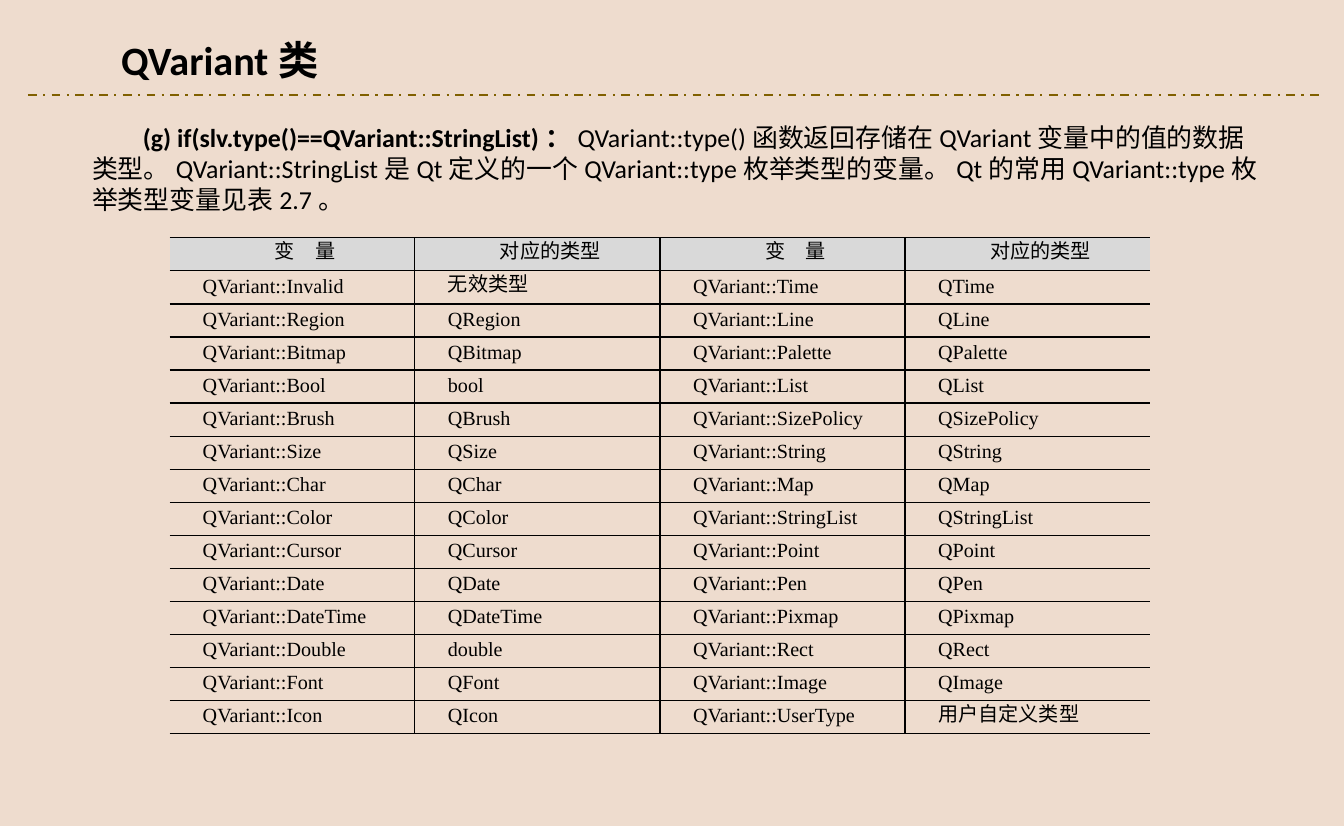
"""Build the QVariant slide: title, explanation and table of type variables."""
from pptx import Presentation
from pptx.dml.color import RGBColor as Rgb
from pptx.enum.dml import MSO_LINE as Dash
from pptx.enum.shapes import MSO_CONNECTOR as Link
from pptx.enum.text import MSO_ANCHOR as Anchor, MSO_AUTO_SIZE as Auto, PP_ALIGN as Align
from pptx.oxml import parse_xml
from pptx.oxml.ns import nsdecls
from pptx.util import Cm, Inches, Pt

TITLE = "QVariant类"
LEAD = "(g) if(slv.type()==QVariant::StringList)："
REST = (
    "QVariant::type()函数返回存储在QVariant变量中的值的数据类型。"
    "QVariant::StringList是Qt定义的一个QVariant::type枚举类型的变量。"
    "Qt的常用QVariant::type枚举类型变量见表2.7。"
)
HEAD = ["变　量", "对应的类型"] * 2
PAIRS = [
    ("Invalid", "无效类型", "Time", "QTime"),
    ("Region", "QRegion", "Line", "QLine"),
    ("Bitmap", "QBitmap", "Palette", "QPalette"),
    ("Bool", "bool", "List", "QList"),
    ("Brush", "QBrush", "SizePolicy", "QSizePolicy"),
    ("Size", "QSize", "String", "QString"),
    ("Char", "QChar", "Map", "QMap"),
    ("Color", "QColor", "StringList", "QStringList"),
    ("Cursor", "QCursor", "Point", "QPoint"),
    ("Date", "QDate", "Pen", "QPen"),
    ("DateTime", "QDateTime", "Pixmap", "QPixmap"),
    ("Double", "double", "Rect", "QRect"),
    ("Font", "QFont", "Image", "QImage"),
    ("Icon", "QIcon", "UserType", "用户自定义类型"),
]
COLORS = {"page": "EEDCCE", "rule": "806000", "ink": "000000", "head": "D9D9D9"}
EDGES = [0, 1, 1.5, 1, 0]
COL, ROW = 2.37, 0.32

SIZE = {"slide_width": Cm(33), "slide_height": Cm(20.29)}
FRAME = {"word_wrap": True, "auto_size": Auto.SHAPE_TO_FIT_TEXT,
         "vertical_anchor": Anchor.TOP}
TABLE = {"first_row": False, "horz_banding": False}
CELL = {"margin_left": Inches(0.07), "margin_right": Inches(0.07),
        "margin_top": 0, "margin_bottom": 0, "vertical_anchor": Anchor.MIDDLE}


def apply(item, values):
    for name, value in values.items():
        setattr(item, name, value)


def color(name):
    return Rgb.from_string(COLORS[name])


def write(para, text, face, size, bold=False):
    run = para.add_run()
    run.text = text
    apply(run.font, {"name": face, "size": Pt(size), "bold": bold})
    run.font.color.rgb = color("ink")


def place(shape, left, top, width, height):
    apply(shape, {"left": Inches(left), "top": Inches(top),
                  "width": Inches(width), "height": Inches(height)})
    apply(shape.text_frame, FRAME)
    para = shape.text_frame.paragraphs[0]
    apply(para, {"alignment": Align.LEFT, "space_before": Pt(0)})
    return para


def indent(para, size):
    props = para._p.get_or_add_pPr()
    props.set("marL", "0")
    props.set("indent", str(Inches(size)))
    return props


def border(cell, side, width):
    paint = f'<a:solidFill><a:srgbClr val="{COLORS["ink"]}"/></a:solidFill>'
    cell._tc.get_or_add_tcPr().append(parse_xml(
        f'<a:ln{side} {nsdecls("a")} w="{Pt(width)}">'
        f'{paint if width else "<a:noFill/>"}</a:ln{side}>'))


def fill_cell(cell, text, col, head):
    apply(cell, CELL)
    for side, width in zip("LRTB", (EDGES[col], EDGES[col + 1], 1, 1)):
        border(cell, side, width)
    if head:
        cell.fill.solid()
        cell.fill.fore_color.rgb = color("head")
    else:
        cell.fill.background()
    para = cell.text_frame.paragraphs[0]
    indent(para, 0.25)
    apply(para, {"alignment": Align.CENTER if head else Align.JUSTIFY,
                 "line_spacing": Pt(14)})
    write(para, text, "Arial" if head else "Times New Roman", 14)


def main():
    deck = Presentation()
    apply(deck, SIZE)
    slide = deck.slides.add_slide(deck.slide_layouts[1])
    slide.background.fill.solid()
    slide.background.fill.fore_color.rgb = color("page")
    title, body = slide.placeholders

    rule = slide.shapes.add_connector(
        Link.STRAIGHT, Inches(0.27), Inches(0.92), Inches(12.79), Inches(0.92))
    apply(rule.line, {"width": Pt(1.5), "dash_style": Dash.DASH_DOT})
    rule.line.color.rgb = color("rule")
    rule._element.spPr.append(parse_xml(f'<a:effectLst {nsdecls("a")}/>'))

    write(place(title, 1.07, 0.29, 6.76, 0.57), TITLE, "Calibri", 28, True)
    para = place(body, 0.79, 1.13, 11.55, 1.01)
    indent(para, 0.49).append(parse_xml(f'<a:buNone {nsdecls("a")}/>'))
    write(para, LEAD, "Calibri", 18, True)
    write(para, REST, "Calibri", 18)

    rows = [HEAD] + [(f"QVariant::{a}", b, f"QVariant::{c}", d) for a, b, c, d in PAIRS]
    table = slide.shapes.add_table(
        len(rows), len(HEAD), Inches(1.64), Inches(2.3),
        Inches(COL * len(HEAD)), Inches(ROW * len(rows))).table
    apply(table, TABLE)
    for y, row in enumerate(rows):
        table.rows[y].height = Inches(ROW)
        for x, text in enumerate(row):
            fill_cell(table.cell(y, x), text, x, y == 0)
    deck.save("out.pptx")


if __name__ == "__main__":
    main()
